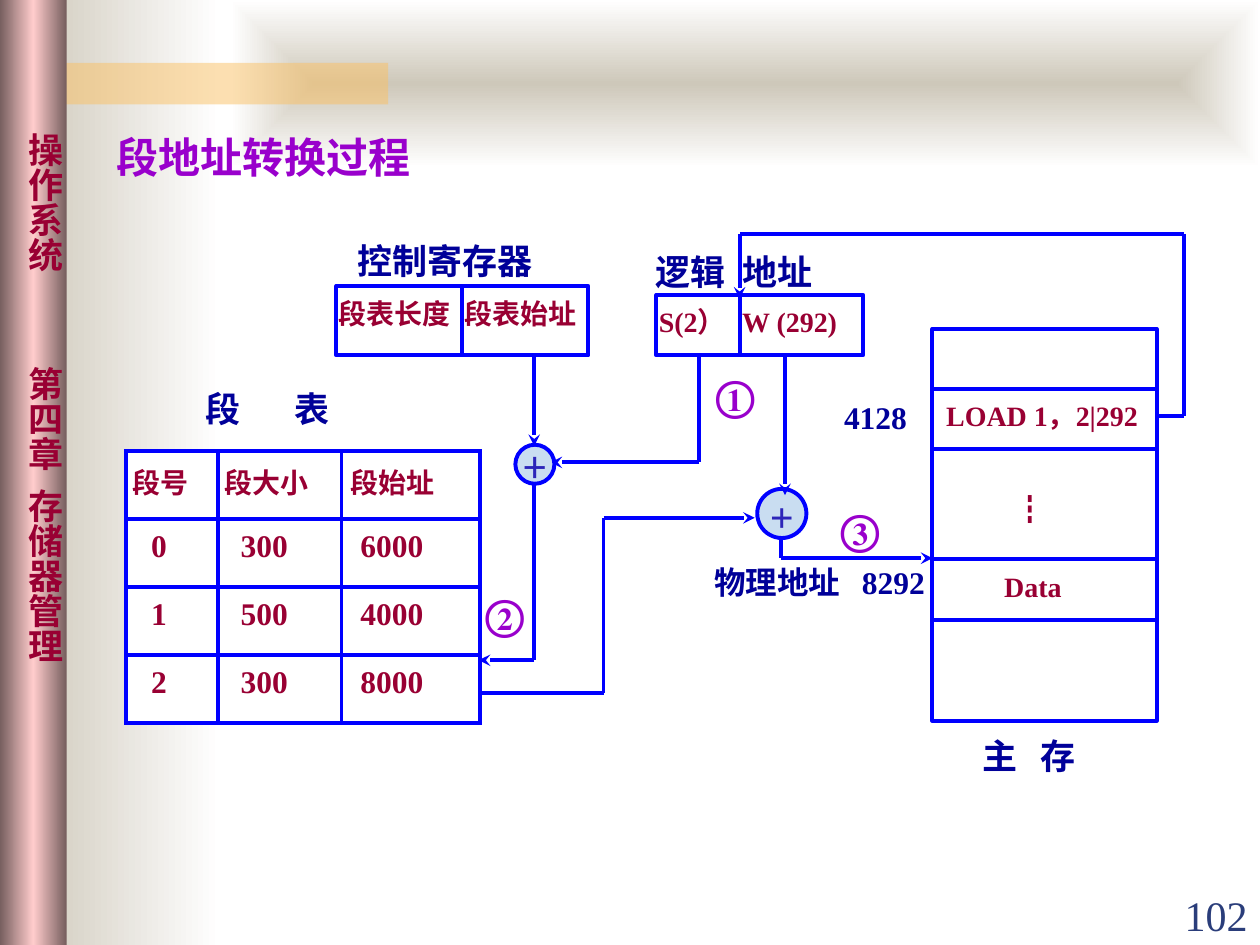
from itertools import pairwise

from lxml import etree
from pptx import Presentation
from pptx import util as u
from pptx.dml.color import RGBColor
from pptx.enum import shapes, text
from pptx.oxml import parse_xml
from pptx.oxml.ns import nsdecls, qn

# The slide is a grid of 100 columns by 75 rows; every length is in cells.
CELL = u.Inches(0.1)
LINE_WIDTH = u.Pt(2.25)
SERIF, SANS = "Times New Roman", "Noto Sans CJK SC"

COLORS = {
    "white": "FFFFFF", "sand": "CEC8BA", "orange": "FAC164",
    "mauve": "765E5E", "pink": "FFCCCC", "blue": "0000FF",
    "navy": "000099", "wine": "990033", "purple": "9900CC",
    "sky": "C9DDF1", "indigo": "2C25B9", "slate": "2A3D7A",
}
# Insets are left, top, right, bottom.
NO_INSET = (0, 0, 0, 0)
TEXT_INSET = (1, 0.5, 1, 0.5)
PLUS_INSET = (1, 0.8, 1, 0.5)


def cells(*values):
    return [round(value * CELL) for value in values]


def rgb(name):
    return RGBColor.from_string(COLORS[name])


def cell_inset(left=0.2):
    return (left, 0.8, 0.2, 0.1)


def apply(target, values):
    for name, value in values.items():
        setattr(target, name, value)


def write(frame, content, size, color, bold=True, font=SERIF, asian=SANS,
          align=text.PP_ALIGN.LEFT, tabs=()):
    """Fill a text frame with one paragraph, with tab stops in cells."""
    para = frame.paragraphs[0]
    if tabs:
        stops = etree.SubElement(para._p.get_or_add_pPr(), qn("a:tabLst"))
        for stop in cells(*tabs):
            etree.SubElement(stops, qn("a:tab"), pos=str(stop), algn="l")
    para.alignment = align
    span = para.add_run()
    span.text = content
    apply(span.font, {"size": u.Pt(size), "bold": bold, "name": font})
    span.font.color.rgb = rgb(color)
    etree.SubElement(span._r.get_or_add_rPr(), qn("a:ea"), typeface=asian)


def set_frame(frame, inset, anchor, wrap=True):
    left, top, right, bottom = cells(*inset)
    apply(frame, {"margin_left": left, "margin_top": top,
                  "margin_right": right, "margin_bottom": bottom,
                  "vertical_anchor": anchor, "word_wrap": wrap})


def add_label(page, place, content, size, color="navy", inset=TEXT_INSET,
              anchor=text.MSO_ANCHOR.MIDDLE, wrap=True, **style):
    box = page.shapes.add_textbox(*cells(*place))
    set_frame(box.text_frame, inset, anchor, wrap)
    write(box.text_frame, content, size, color, **style)


def add_box(page, place, fill="white", line="blue",
            kind=shapes.MSO_SHAPE.RECTANGLE):
    box = page.shapes.add_shape(kind, *cells(*place))
    box.shadow.inherit = False
    box.fill.solid()
    box.fill.fore_color.rgb = rgb(fill)
    if line:
        box.line.color.rgb = rgb(line)
        box.line.width = LINE_WIDTH
    else:
        box.line.fill.background()
    return box


def add_field(page, place, content="", size=16, left=0.2,
              anchor=text.MSO_ANCHOR.TOP, **style):
    box = add_box(page, place)
    if content:
        set_frame(box.text_frame, cell_inset(left), anchor)
        write(box.text_frame, content, size, "wine", **style)


def add_adder(page, place, **style):
    disc = add_box(page, place, "sky", kind=shapes.MSO_SHAPE.OVAL)
    set_frame(disc.text_frame, PLUS_INSET, text.MSO_ANCHOR.MIDDLE, wrap=False)
    write(disc.text_frame, "+", 24, "indigo",
          align=text.PP_ALIGN.CENTER, **style)


def add_gradient_box(page, place, names, centred=False):
    """Add a box whose colours run across, or outward from its centre."""
    box = add_box(page, place, line=None)
    stops = "".join(
        f'<a:gs pos="{100000 * i // (len(names) - 1)}">'
        f'<a:srgbClr val="{COLORS[name]}"/></a:gs>'
        for i, name in enumerate(names))
    course = ('<a:path path="shape"><a:fillToRect l="50000" t="50000" '
              'r="50000" b="50000"/></a:path>' if centred
              else '<a:lin ang="0" scaled="1"/>')
    solid = box._element.spPr.find(qn("a:solidFill"))
    solid.getparent().replace(solid, parse_xml(
        f'<a:gradFill rotWithShape="1" {nsdecls("a")}>'
        f'<a:gsLst>{stops}</a:gsLst>{course}</a:gradFill>'))
    return box


def add_route(page, *points, arrow=True):
    """Join the points with straight lines; the last may have an arrowhead."""
    for start, end in pairwise(points):
        link = page.shapes.add_connector(
            shapes.MSO_CONNECTOR.STRAIGHT, *cells(*start, *end))
        link.line.color.rgb = rgb("blue")
        link.line.width = LINE_WIDTH
        if arrow and end == points[-1]:
            etree.SubElement(link.line._get_or_add_ln(), qn("a:tailEnd"),
                             type="stealth")
        etree.SubElement(link._element.spPr, qn("a:effectLst"))


def add_segment_table(page):
    rows = [("段号", "段大小", "段始址"), ("0", "300", "6000"),
            ("1", "500", "4000"), ("2", "300", "8000")]
    widths, height = (7.3, 9.8, 11), 5.4
    grid = page.shapes.add_table(len(rows), len(widths), *cells(
        10, 35.8, sum(widths), height * len(rows))).table
    apply(grid, {"first_row": False, "horz_banding": False})
    for column, width in zip(grid.columns, cells(*widths)):
        column.width = width
    for r, row in enumerate(rows):
        grid.rows[r].height = cells(height)[0]
        lefts, size = ((2, 1.8, 1.5), 18) if r else ((0.5, 0.5, 0.7), 16)
        for c, value in enumerate(row):
            cell = grid.cell(r, c)
            left, top, right, bottom = cells(*cell_inset(lefts[c]))
            apply(cell, {"margin_left": left, "margin_top": top,
                         "margin_right": right, "margin_bottom": bottom})
            cell.fill.solid()
            cell.fill.fore_color.rgb = rgb("white")
            for i, side in enumerate("LRTB"):
                cell._tc.get_or_add_tcPr().insert(i, parse_xml(
                    f'<a:ln{side} w="{LINE_WIDTH}" {nsdecls("a")}><a:solidFill>'
                    f'<a:srgbClr val="{COLORS["blue"]}"/></a:solidFill>'
                    f'</a:ln{side}>'))
            write(cell.text_frame, value, size, "wine")


def add_backdrop(page):
    add_gradient_box(page, (1.7, 0, 15.8, 75), ("sand", "white"))
    add_gradient_box(page, (18.3, 0, 81.7, 13.3), ("sand", "white"), True)
    band = add_box(page, (3.3, 5, 27.5, 3.3), "orange", None)
    tint = band._element.spPr.find(qn("a:solidFill"))[0]
    etree.SubElement(tint, qn("a:alpha"), val="50000")
    spine = add_gradient_box(page, (0, 0, 5.3, 75), ("mauve", "pink", "mauve"))
    set_frame(spine.text_frame, (0, 10.5, 0.1, 0), text.MSO_ANCHOR.TOP)
    spine.text_frame._txBody.bodyPr.set("vert", "eaVert")
    write(spine.text_frame, "操作系统\t第四章\t存储器管理", 20, "wine",
          font=SANS, tabs=(18.6, 28.3))


def main():
    deck = Presentation()
    deck.slide_width, deck.slide_height = cells(100, 75)
    page = deck.slides.add_slide(deck.slide_layouts[6])
    add_backdrop(page)

    # Title and page number
    add_label(page, (8.3, 9.9, 28.4, 5), "段地址转换过程", 24, "purple")
    add_label(page, (90, 70.1, 10, 5), "102", 24, "slate", bold=False,
              anchor=text.MSO_ANCHOR.BOTTOM, align=text.PP_ALIGN.RIGHT)

    # Control register and segment table
    add_label(page, (27.4, 18.5, 20, 4.3), "控制寄存器", 20)
    for i, name in enumerate(("段表长度", "段表始址")):
        add_field(page, (26.7 + 10 * i, 22.7, 10, 5.5), name)
    add_label(page, (15.3, 29.9, 15, 5), "段\t表", 20, tabs=(7.1,))
    add_segment_table(page)

    # Logical address
    add_field(page, (58.7, 23.4, 9.8, 4.8), "W (292)")
    add_field(page, (52.1, 23.4, 6.6, 4.8), "S(2）")

    # Main memory, stacked from the top
    top = 26.1
    for height, content, style in (
            (4.75, "", {}),
            (4.75, "LOAD 1，2|292", {"left": 1.1}),
            (8.8, "┇", {"left": 6.5, "size": 18, "font": SANS,
                        "anchor": text.MSO_ANCHOR.MIDDLE}),
            (4.8, "Data", {"left": 5.7}),
            (8, "", {})):
        add_field(page, (74, top, 17.8, height), content, **style)
        top += height
    add_label(page, (77, 57.8, 9.7, 4.3), "主\t存", 20, wrap=False, tabs=(4.6,))
    add_label(page, (66, 31.1, 8.2, 4), "4128", 18)

    # Address flow
    add_route(page, (42.4, 28.2), (42.4, 35.4))
    add_route(page, (55.5, 28.1), (55.5, 36.7), (43.7, 36.7))
    add_route(page, (42.4, 37.9), (42.4, 52.4), (38, 52.4))
    add_route(page, (38, 55), (47.9, 55), (47.9, 41.1), (59.9, 41.1))
    add_route(page, (62, 42.5), (62, 44.3), (74, 44.3))
    add_route(page, (91.7, 33), (94, 33), (94, 18.6), (58.7, 18.6), (58.7, 23.7))
    add_adder(page, (40.9, 35.3, 3.1, 3.1), font=SANS, bold=False)
    add_adder(page, (60.1, 38.8, 3.9, 3.9))
    add_route(page, (62.3, 28.3), (62.3, 39.3))

    # Address captions and step numbers
    add_label(page, (52, 19.9, 13.4, 3.3), "逻辑\t地址", 20,
              inset=NO_INSET, tabs=(6.9,))
    add_label(page, (56.7, 44.2, 17.2, 4), "物理地址\t8292", 18,
              inset=NO_INSET, tabs=(11.7,))
    for number, left, row in (("①", 56.8, 29.3), ("②", 38.5, 46.7),
                              ("③", 66.7, 40)):
        add_label(page, (left, row, 4.2, 4), number, 24, "purple",
                  inset=NO_INSET, wrap=False, asian=SERIF)

    deck.save("out.pptx")


if __name__ == "__main__":
    main()
